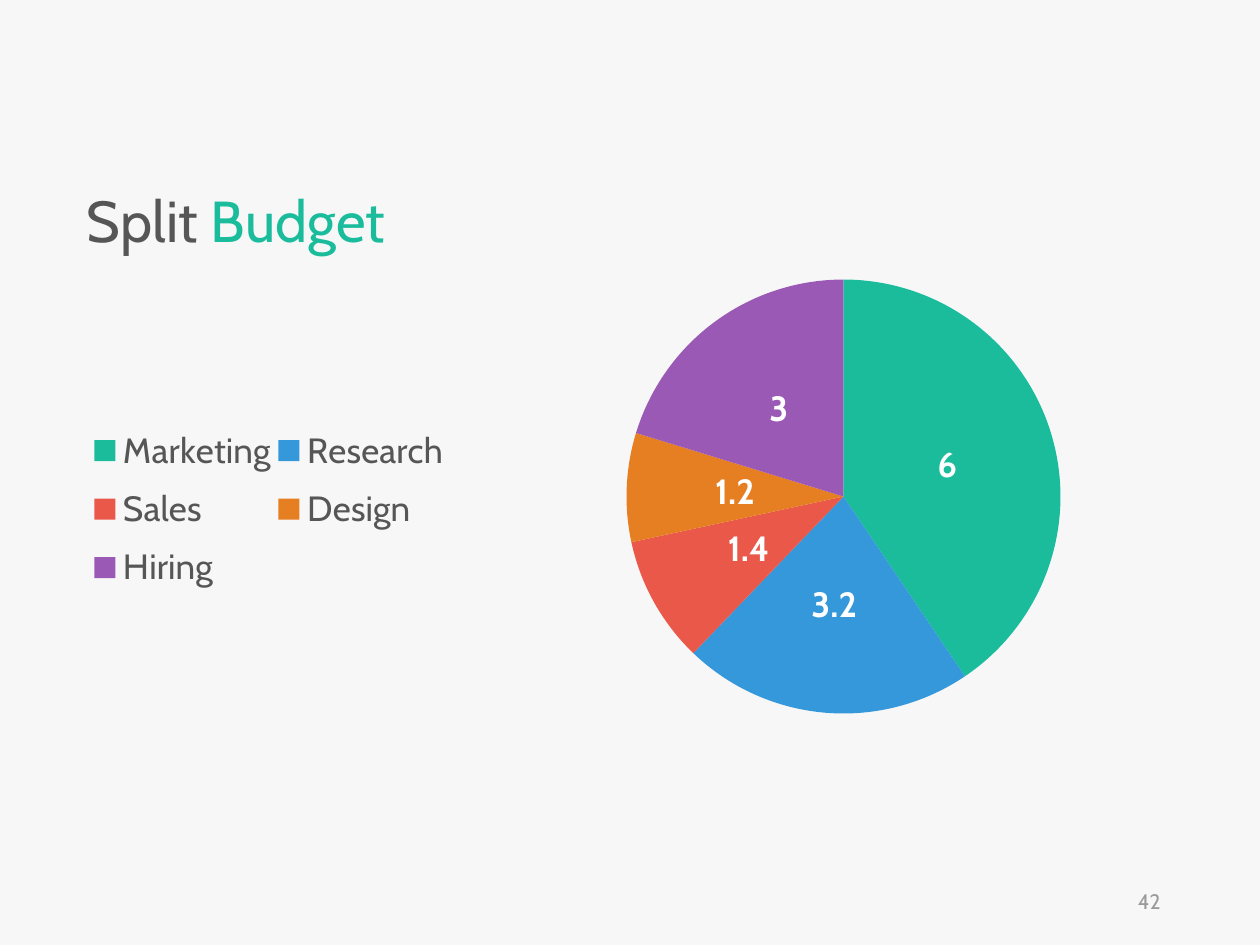
from dataclasses import dataclass

from lxml.etree import SubElement
from pptx import Presentation
from pptx.chart.data import CategoryChartData
from pptx.dml.color import RGBColor
from pptx.enum.chart import XL_CHART_TYPE, XL_LABEL_POSITION, XL_LEGEND_POSITION
from pptx.enum.text import MSO_ANCHOR, PP_ALIGN
from pptx.oxml.ns import qn
from pptx.util import Pt


@dataclass(frozen=True)
class Theme:
    """Colours, font and type sizes of the slide."""
    font: str = "Cabin"
    background: str = "F7F7F7"
    text: str = "565656"
    accent: str = "1ABC9C"
    muted: str = "9A9A9A"
    label: str = "FFFFFF"
    title_size: int = 33
    chart_size: int = 20
    base_size: int = 10
    number_size: int = 12


THEME = Theme()
BUDGET = {
    "Marketing": (6, THEME.accent),
    "Research": (3.2, "3498DB"),
    "Sales": (1.4, "E95849"),
    "Design": (1.2, "E67E22"),
    "Hiring": (3, "9B59B6"),
}


def set_attrs(obj, values):
    """Set each named attribute of an object."""
    for name, value in values.items():
        setattr(obj, name, value)


def style_font(font, size, color, bold=False):
    """Give a font the theme face, a size and a colour."""
    set_attrs(font, {"name": THEME.font, "size": Pt(size), "bold": bold})
    font.color.rgb = RGBColor.from_string(color)


def add_text(s, box, runs, size, frame_format, par_format):
    """Add a one-paragraph text box of coloured runs."""
    tf = s.shapes.add_textbox(*map(Pt, box)).text_frame
    set_attrs(tf, {"word_wrap": True, **frame_format})
    p = tf.paragraphs[0]
    set_attrs(p, par_format)
    for text, color in runs:
        r = p.add_run()
        r.text = text
        style_font(r.font, size, color)


def set_layout(parent, index, box, inner=False):
    """Place a chart part by fractions of the chart area."""
    for old in parent.findall(qn("c:layout")):
        parent.remove(old)
    layout = SubElement(parent, qn("c:layout"))
    parent.insert(index, layout)
    manual = SubElement(layout, qn("c:manualLayout"))
    values = {"layoutTarget": "inner"} if inner else {}
    values |= {"xMode": "edge", "yMode": "edge"}
    values |= zip("xywh", map(str, box))
    for tag, value in values.items():
        SubElement(manual, qn(f"c:{tag}")).set("val", value)


def add_budget_pie(s, box):
    """Add the pie chart with its value labels and legend."""
    data = CategoryChartData()
    data.categories = list(BUDGET)
    data.add_series("Series 1", [value for value, _ in BUDGET.values()])
    chart = s.shapes.add_chart(XL_CHART_TYPE.PIE, *map(Pt, box), data).chart
    set_attrs(chart, {"has_title": False, "has_legend": True})
    style_font(chart.font, THEME.base_size, THEME.text)

    plot = chart.plots[0]
    plot.vary_by_categories = True
    series = plot.series[0]
    for i, (_, color) in enumerate(BUDGET.values()):
        fmt = series.points[i].format
        fmt.fill.solid()
        fmt.fill.fore_color.rgb = RGBColor.from_string(color)
        fmt.line.fill.background()
    labels = series.data_labels
    set_attrs(labels, {"show_value": True, "position": XL_LABEL_POSITION.CENTER})
    style_font(labels.font, THEME.chart_size, THEME.label, bold=True)

    legend = chart.legend
    set_attrs(legend, {"position": XL_LEGEND_POSITION.BOTTOM, "include_in_layout": False})
    style_font(legend.font, THEME.chart_size, THEME.text)
    set_layout(legend._element, 1, (0, 0.27, 0.31, 0.38))
    plot_area = chart._chartSpace.find(".//" + qn("c:plotArea"))
    set_layout(plot_area, 0, (0.46, 0, 0.37, 0.87), inner=True)


def main():
    """Build and save the slide."""
    prs = Presentation()
    set_attrs(prs, {"slide_width": Pt(720), "slide_height": Pt(540)})
    s = prs.slides.add_slide(prs.slide_layouts[6])
    s.background.fill.solid()
    s.background.fill.fore_color.rgb = RGBColor.from_string(THEME.background)

    add_text(s, (49.7, 106.5, 265, 43.2), [("Split", THEME.text), (" Budget", THEME.accent)],
             THEME.title_size, {"margin_left": 0}, {"line_spacing": 0.9})
    add_budget_pie(s, (49.7, 159.1, 670.3, 286.6))
    add_text(s, (508.3, 500.4, 162, 28.8), [("42", THEME.muted)], THEME.number_size,
             {"vertical_anchor": MSO_ANCHOR.MIDDLE}, {"alignment": PP_ALIGN.RIGHT})
    prs.save("out.pptx")


if __name__ == "__main__":
    main()
